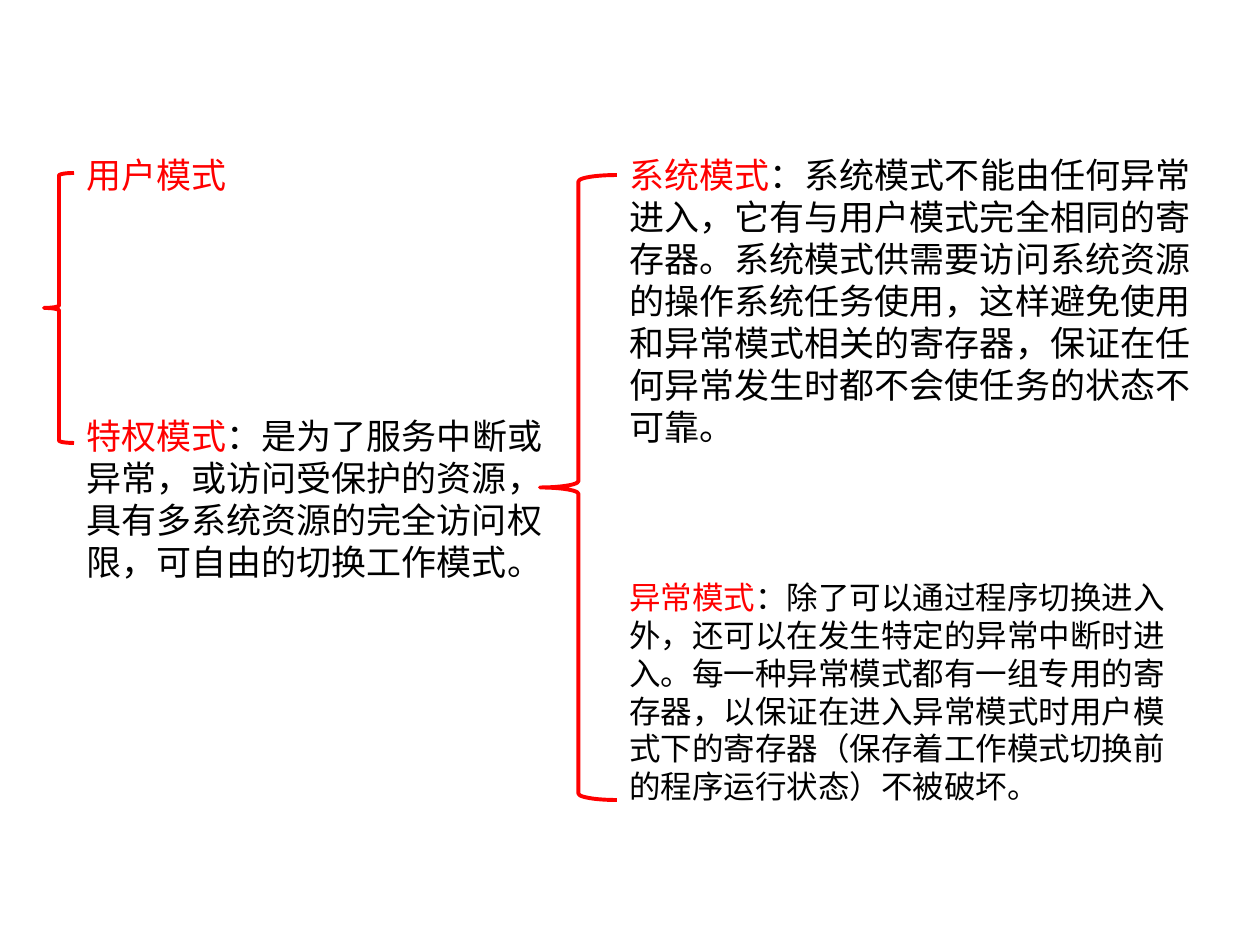
from dataclasses import dataclass

from pptx import Presentation
from pptx.dml.color import RGBColor
from pptx.enum.shapes import MSO_SHAPE as Preset
from pptx.enum.text import MSO_AUTO_SIZE as AutoSize
from pptx.slide import Slide
from pptx.util import Emu, Pt

EMU_PER_PX = 914400 / 126
COLORS = {"accent": "FF0000", "body": "000000"}
FONT_NAME = "Arial"
LEFT_COLUMN = 74
RIGHT_COLUMN = 617
RIGHT_WIDTH = 586
TOP_ROW = 147


@dataclass(frozen=True)
class Box:
    left: int
    top: int
    width: int
    height: int

    def emu(self) -> tuple[Emu, ...]:
        return tuple(px(n) for n in (self.left, self.top, self.width, self.height))


@dataclass(frozen=True)
class Mode:
    box: Box
    name: str
    description: str = ""
    size: int = 20


MODES = [
    Mode(Box(LEFT_COLUMN, TOP_ROW, 175, 55), "用户模式"),
    Mode(
        Box(LEFT_COLUMN, 408, 507, 181),
        "特权模式",
        "：是为了服务中断或异常，或访问受保护的资源，具有多系统资源的完全访问权限，可自由的切换工作模式。",
    ),
    Mode(
        Box(RIGHT_COLUMN, TOP_ROW, RIGHT_WIDTH, 307),
        "系统模式",
        "：系统模式不能由任何异常进入，它有与用户模式完全相同的寄存器。"
        "系统模式供需要访问系统资源的操作系统任务使用，"
        "这样避免使用和异常模式相关的寄存器，保证在任何异常发生时都不会使任务的状态不可靠。",
    ),
    Mode(
        Box(RIGHT_COLUMN, 572, RIGHT_WIDTH, 239),
        "异常模式",
        "：除了可以通过程序切换进入外，还可以在发生特定的异常中断时进入。"
        "每一种异常模式都有一组专用的寄存器，"
        "以保证在进入异常模式时用户模式下的寄存器（保存着工作模式切换前的程序运行状态）不被破坏。",
        size=18,
    ),
]

BRACES = [Box(44, 173, 30, 270), Box(540, 175, 77, 625)]


def px(length: int) -> Emu:
    return Emu(round(length * EMU_PER_PX))


def color(name: str) -> RGBColor:
    return RGBColor.from_string(COLORS[name])


def draw_mode(slide: Slide, mode: Mode) -> None:
    text_frame = slide.shapes.add_textbox(*mode.box.emu()).text_frame
    text_frame.word_wrap = True
    text_frame.auto_size = AutoSize.SHAPE_TO_FIT_TEXT
    paragraph = text_frame.paragraphs[0]
    for text, color_name in ((mode.name, "accent"), (mode.description, "body")):
        if text:
            run = paragraph.add_run()
            run.text = text
            run.font.name = FONT_NAME
            run.font.size = Pt(mode.size)
            run.font.color.rgb = color(color_name)


def draw_brace(slide: Slide, box: Box) -> None:
    shape = slide.shapes.add_shape(Preset.LEFT_BRACE, *box.emu())
    shape.shadow.inherit = False
    shape.fill.background()
    shape.line.color.rgb = color("accent")
    shape.line.width = Pt(2.25)


def main() -> None:
    presentation = Presentation()
    presentation.slide_width = px(1260)
    presentation.slide_height = px(945)
    slide = presentation.slides.add_slide(presentation.slide_layouts[6])
    for mode in MODES:
        draw_mode(slide, mode)
    for brace in BRACES:
        draw_brace(slide, brace)
    presentation.save("out.pptx")


if __name__ == "__main__":
    main()
